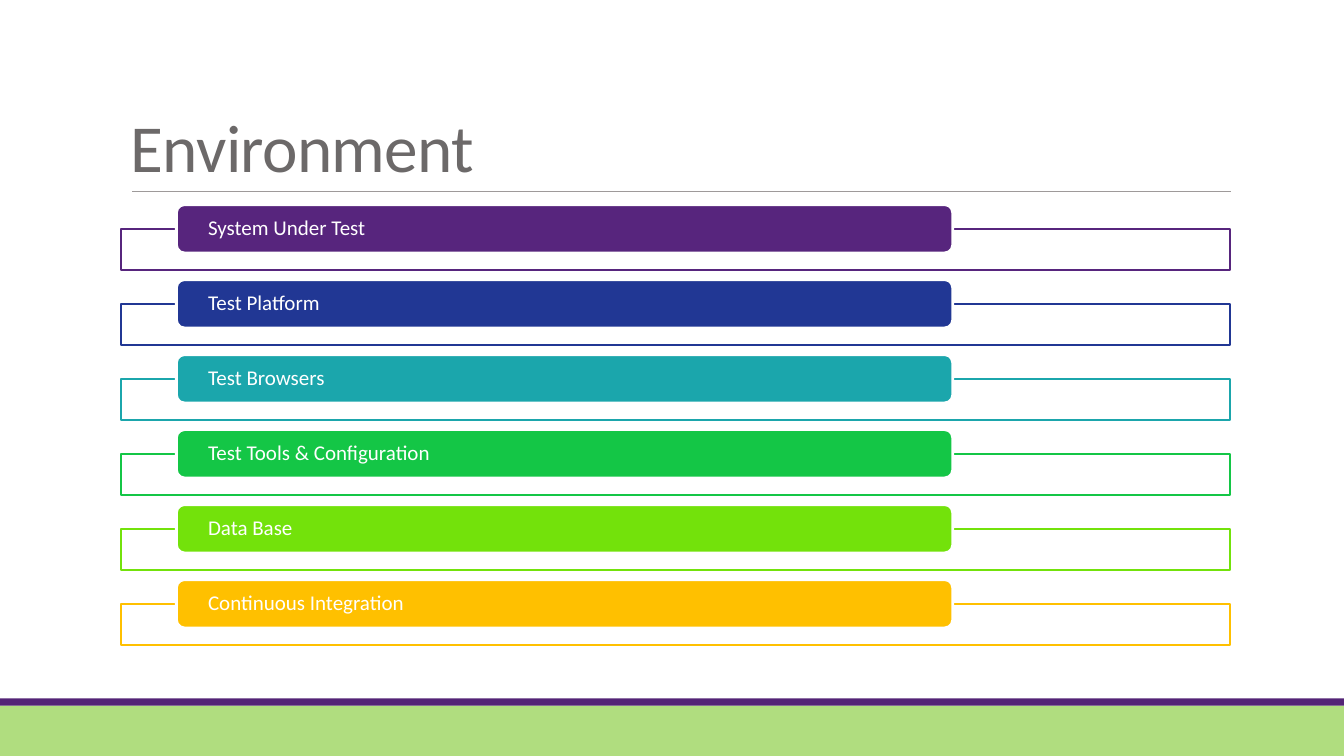
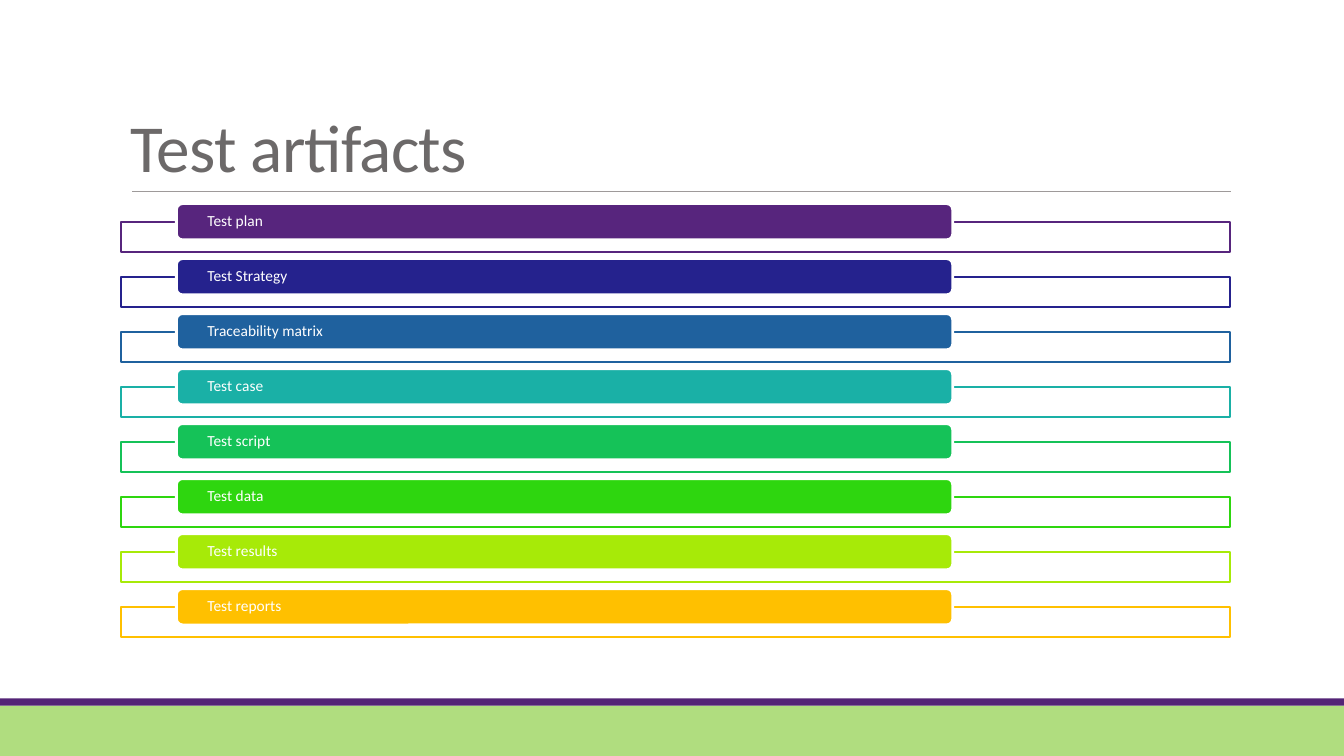
from dataclasses import dataclass

from pptx import Presentation
from pptx.dml.color import RGBColor
from pptx.enum.shapes import MSO_CONNECTOR, MSO_SHAPE
from pptx.enum.text import MSO_ANCHOR, PP_ALIGN
from pptx.oxml.ns import qn
from pptx.shapes.autoshape import Shape
from pptx.slide import Slide
from pptx.text.text import TextFrame
from pptx.util import Inches, Pt
from lxml.etree import SubElement


@dataclass(frozen=True)
class Theme:
    font: str = "Calibri"
    white: str = "FFFFFF"
    title: str = "6C6969"
    rule: str = "9E9A9A"
    footer: str = "B0DD7F"
    stripe: str = "532476"
    title_size: float = 48
    rule_width: float = 0.5
    frame_width: float = 1.25
    pill_width: float = 2
    frame_opacity: int = 90


@dataclass(frozen=True)
class Box:
    left: float
    top: float
    width: float
    height: float

    def lengths(self) -> tuple[Inches, Inches, Inches, Inches]:
        return Inches(self.left), Inches(self.top), Inches(self.width), Inches(self.height)


@dataclass(frozen=True)
class Item:
    label: str
    color: str


@dataclass(frozen=True)
class ListPage:
    title: str
    first_top: float
    last_top: float
    pill_height: float
    frame_height: float
    text_size: float
    items: tuple[Item, ...]


THEME = Theme()
PAGE_WIDTH, PAGE_HEIGHT = 13.33, 7.5
CONTENT_LEFT, CONTENT_WIDTH = 1.2, 11
PILL_LEFT, PILL_WIDTH = 1.75, 7.7
PILL_INSET = 0.29
RULE_LEFT, RULE_RIGHT, RULE_TOP = 1.31, 12.21, 1.9

PAGES = (
    ListPage("Environment", 2.03, 5.75, 0.48, 0.41, 15, (
        Item("System Under Test", "57257D"),
        Item("Test Platform", "213794"),
        Item("Test Browsers", "1BA6AC"),
        Item("Test Tools & Configuration", "14C646"),
        Item("Data Base", "73E20B"),
        Item("Continuous Integration", "FFC000"),
    )),
    ListPage("Test artifacts", 2.02, 5.84, 0.36, 0.3, 11, (
        Item("Test plan", "57257D"),
        Item("Test Strategy", "25228D"),
        Item("Traceability matrix", "1F619E"),
        Item("Test case", "1AB0A6"),
        Item("Test script", "15C258"),
        Item("Test data", "2ED60F"),
        Item("Test results", "A7EA08"),
        Item("Test reports", "FFC000"),
    )),
)


def write_text(frame: TextFrame, text: str, *, size: float, color: str,
               anchor: MSO_ANCHOR, line_spacing: float,
               tracking: float = 0, side_inset: float = 0.1,
               end_inset: float = 0.05) -> None:
    frame.word_wrap = True
    frame.vertical_anchor = anchor
    frame.margin_left = frame.margin_right = Inches(side_inset)
    frame.margin_top = frame.margin_bottom = Inches(end_inset)
    para = frame.paragraphs[0]
    para.alignment = PP_ALIGN.LEFT
    para.line_spacing = line_spacing
    span = para.add_run()
    span.text = text
    span.font.name = THEME.font
    span.font.size = Pt(size)
    span.font.color.rgb = RGBColor.from_string(color)
    if tracking:
        span.font._element.set("spc", str(round(tracking * 100)))


def add_box(page: Slide, kind: MSO_SHAPE, box: Box, fill: str,
            line: str | None = None, line_width: float = 0,
            opacity: int = 100) -> Shape:
    shape = page.shapes.add_shape(kind, *box.lengths())
    shape.shadow.inherit = False
    shape.fill.solid()
    shape.fill.fore_color.rgb = RGBColor.from_string(fill)
    if opacity < 100:
        color = shape._element.spPr.find(qn("a:solidFill")).find(qn("a:srgbClr"))
        SubElement(color, qn("a:alpha")).set("val", str(opacity * 1000))
    if line is None:
        shape.line.fill.background()
    else:
        shape.line.color.rgb = RGBColor.from_string(line)
        shape.line.width = Pt(line_width)
    return shape


def add_page_base(page: Slide, title: str) -> None:
    add_box(page, MSO_SHAPE.RECTANGLE, Box(0, 7, PAGE_WIDTH, 0.5), THEME.footer)
    add_box(page, MSO_SHAPE.RECTANGLE, Box(0, 6.93, PAGE_WIDTH, 0.07), THEME.stripe)
    rule = page.shapes.add_connector(
        MSO_CONNECTOR.STRAIGHT, Inches(RULE_LEFT), Inches(RULE_TOP),
        Inches(RULE_RIGHT), Inches(RULE_TOP))
    rule.line.color.rgb = RGBColor.from_string(THEME.rule)
    rule.line.width = Pt(THEME.rule_width)
    SubElement(rule._element.spPr, qn("a:effectLst"))
    title_box = page.shapes.add_textbox(
        *Box(CONTENT_LEFT, 0.31, CONTENT_WIDTH, 1.59).lengths())
    write_text(title_box.text_frame, title, size=THEME.title_size,
               color=THEME.title, anchor=MSO_ANCHOR.BOTTOM,
               line_spacing=0.85, tracking=-0.5)


def add_list(page: Slide, content: ListPage) -> None:
    pitch = (content.last_top - content.first_top) / (len(content.items) - 1)
    for index, item in enumerate(content.items):
        top = content.first_top + index * pitch
        add_box(page, MSO_SHAPE.RECTANGLE,
                Box(CONTENT_LEFT, top + content.pill_height / 2,
                    CONTENT_WIDTH, content.frame_height),
                THEME.white, item.color, THEME.frame_width, THEME.frame_opacity)
        pill = add_box(page, MSO_SHAPE.ROUNDED_RECTANGLE,
                       Box(PILL_LEFT, top, PILL_WIDTH, content.pill_height),
                       item.color, THEME.white, THEME.pill_width)
        write_text(pill.text_frame, item.label, size=content.text_size,
                   color=THEME.white, anchor=MSO_ANCHOR.MIDDLE,
                   line_spacing=0.9, side_inset=PILL_INSET, end_inset=0)


def main() -> None:
    deck = Presentation()
    deck.slide_width = Inches(PAGE_WIDTH)
    deck.slide_height = Inches(PAGE_HEIGHT)
    for content in PAGES:
        page = deck.slides.add_slide(deck.slide_layouts[6])
        add_page_base(page, content.title)
        add_list(page, content)
    deck.save("out.pptx")


if __name__ == "__main__":
    main()
